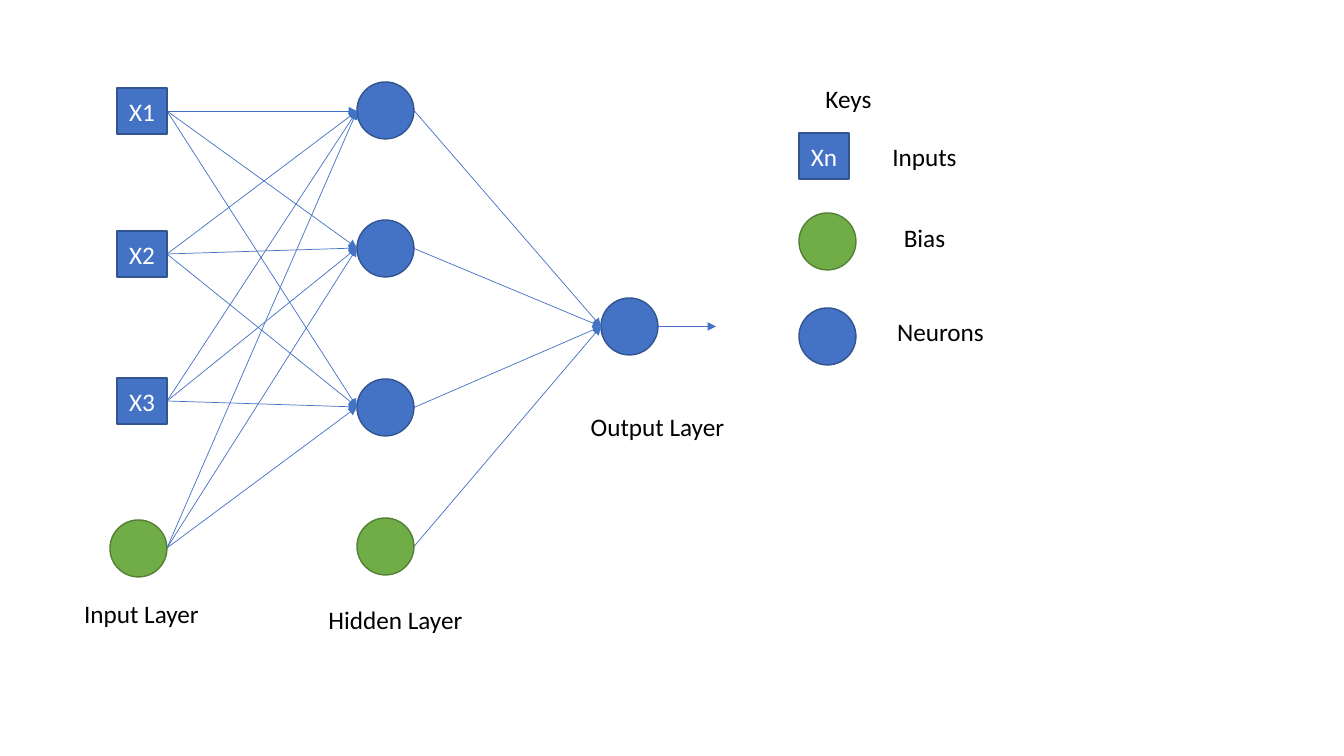
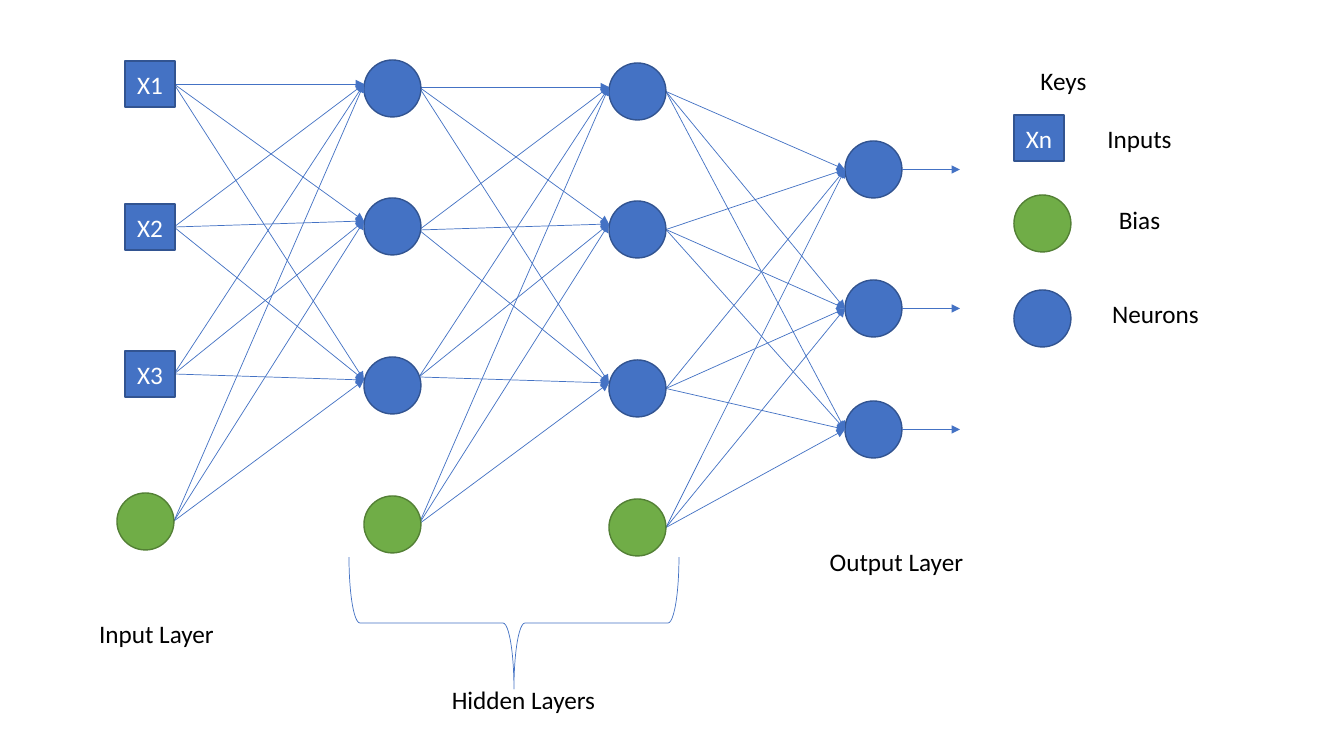
from dataclasses import dataclass
from itertools import product

from lxml.etree import SubElement
from pptx import Presentation
from pptx.dml.color import RGBColor
from pptx.enum.shapes import MSO_CONNECTOR, MSO_SHAPE
from pptx.enum.text import MSO_ANCHOR, PP_ALIGN
from pptx.oxml.ns import qn
from pptx.shapes.autoshape import Shape
from pptx.slide import Slide
from pptx.text.text import TextFrame
from pptx.util import Emu, Pt

PX_PER_INCH = 100.8
FONT = "Calibri"
BLUE, GREEN, BLACK, WHITE = "4472C4", "70AD47", "000000", "FFFFFF"
OUTLINES = {BLUE: "325491", GREEN: "538035"}
DIAMETER = 57
SQUARE_W, SQUARE_H = 50, 46
CAPTION_W, CAPTION_H = 283, 51
ARROW_LENGTH = 58
INPUT_STEPS = (0, 143, 290)
INPUT_BIAS_STEP = 432
HIDDEN_STEPS = (0, 138, 297)
HIDDEN_BIAS_STEP = 436
FAN_START_STEPS = (0, 143, 290, 437)
FAN_END_STEPS = (0, 137, 296)


@dataclass(frozen=True)
class Point:
    x: int
    y: int


@dataclass(frozen=True)
class Caption:
    text: str
    x: int
    y: int


@dataclass(frozen=True)
class Fan:
    start_x: int
    end_x: int
    top: int


@dataclass(frozen=True)
class Network:
    inputs: Point
    input_bias_x: int
    hidden: list[Point]
    fans: list[Fan]
    outputs: list[Point]
    key: Point
    captions: list[Caption]


def px(value: float) -> Emu:
    return Emu(round(value * 914400 / PX_PER_INCH))


def color(value: str) -> RGBColor:
    return RGBColor.from_string(value)


def write(tf: TextFrame, text: str, ink: str) -> None:
    tf.text = text
    tf.word_wrap = True
    tf.vertical_anchor = MSO_ANCHOR.MIDDLE
    p = tf.paragraphs[0]
    p.alignment = PP_ALIGN.CENTER
    r = p.runs[0]
    r.font.name = FONT
    r.font.size = Pt(18)
    r.font.color.rgb = color(ink)


def add_node(s: Slide, kind: MSO_SHAPE, x: int, y: int, w: int, h: int, fill: str) -> Shape:
    sp = s.shapes.add_shape(kind, px(x), px(y), px(w), px(h))
    sp.shadow.inherit = False
    sp.fill.solid()
    sp.fill.fore_color.rgb = color(fill)
    sp.line.color.rgb = color(OUTLINES[fill])
    sp.line.width = Pt(1)
    return sp


def add_circle(s: Slide, x: int, y: int, fill: str = BLUE) -> None:
    add_node(s, MSO_SHAPE.OVAL, x, y, DIAMETER, DIAMETER, fill)


def add_square(s: Slide, x: int, y: int, text: str) -> None:
    sp = add_node(s, MSO_SHAPE.RECTANGLE, x, y, SQUARE_W, SQUARE_H, BLUE)
    write(sp.text_frame, text, WHITE)


def add_caption(s: Slide, caption: Caption) -> None:
    box = s.shapes.add_textbox(px(caption.x), px(caption.y), px(CAPTION_W), px(CAPTION_H))
    write(box.text_frame, caption.text, BLACK)


def add_arrow(s: Slide, x1: float, y1: float, x2: float, y2: float) -> None:
    line = s.shapes.add_connector(MSO_CONNECTOR.STRAIGHT, px(x1), px(y1), px(x2), px(y2))
    line.line.color.rgb = color(BLUE)
    line.line.width = Pt(0.5)
    SubElement(line.line._get_or_add_ln(), qn("a:tailEnd"), type="triangle")
    SubElement(line._element.spPr, qn("a:effectLst"))


def add_fan(s: Slide, fan: Fan) -> None:
    for start, end in product(FAN_START_STEPS, FAN_END_STEPS):
        add_arrow(s, fan.start_x, fan.top + start, fan.end_x, fan.top + end)


def add_input_layer(s: Slide, top_input: Point, bias_x: int) -> None:
    for number, step in enumerate(INPUT_STEPS, 1):
        add_square(s, top_input.x, top_input.y + step, f"X{number}")
    add_circle(s, bias_x, top_input.y + INPUT_BIAS_STEP, GREEN)


def add_hidden_layer(s: Slide, top: Point) -> None:
    for step in HIDDEN_STEPS:
        add_circle(s, top.x, top.y + step)
    add_circle(s, top.x, top.y + HIDDEN_BIAS_STEP, GREEN)


def add_output_layer(s: Slide, last_hidden: Point, outputs: list[Point]) -> None:
    radius = DIAMETER / 2
    for output in outputs:
        add_circle(s, output.x, output.y)
        middle, right = output.y + radius, output.x + DIAMETER
        add_arrow(s, right, middle, right + ARROW_LENGTH, middle)
        for step in (*HIDDEN_STEPS, HIDDEN_BIAS_STEP):
            add_arrow(s, last_hidden.x + DIAMETER, last_hidden.y + step + radius,
                      output.x, middle)


def add_key(s: Slide, key: Point) -> None:
    add_square(s, key.x, key.y, "Xn")
    add_circle(s, key.x, key.y + 80, GREEN)
    add_circle(s, key.x, key.y + 175)
    for text, dx, dy in (("Inputs", -16, -2), ("Bias", -16, 79),
                         ("Neurons", 0, 173), ("Keys", -92, -60)):
        add_caption(s, Caption(text, key.x + dx, key.y + dy))


def add_brace(s: Slide, x: int, y: int, w: int, h: int) -> None:
    sp = s.shapes.add_shape(MSO_SHAPE.LEFT_BRACE, px(x), px(y), px(w), px(h))
    sp.rotation = 270
    sp.shadow.inherit = False
    sp.fill.background()
    sp.line.color.rgb = color(BLUE)
    sp.line.width = Pt(0.5)


def add_network(prs: Presentation, network: Network) -> Slide:
    s = prs.slides.add_slide(prs.slide_layouts[6])
    add_output_layer(s, network.hidden[-1], network.outputs)
    for hidden, fan in zip(reversed(network.hidden), reversed(network.fans)):
        add_hidden_layer(s, hidden)
        add_fan(s, fan)
    add_input_layer(s, network.inputs, network.input_bias_x)
    add_key(s, network.key)
    for caption in network.captions:
        add_caption(s, caption)
    return s


SINGLE_HIDDEN = Network(
    inputs=Point(117, 88),
    input_bias_x=110,
    hidden=[Point(357, 82)],
    fans=[Fan(167, 357, 111)],
    outputs=[Point(601, 298)],
    key=Point(799, 133),
    captions=[Caption("Hidden Layer", 254, 594), Caption("Input Layer", 0, 588),
              Caption("Output Layer", 516, 401)],
)
DOUBLE_HIDDEN = Network(
    inputs=Point(125, 61),
    input_bias_x=117,
    hidden=[Point(364, 60), Point(609, 63)],
    fans=[Fan(174, 364, 84), Fan(419, 609, 87)],
    outputs=[Point(845, y) for y in (141, 280, 401)],
    key=Point(1014, 115),
    captions=[Caption("Hidden Layers", 382, 674), Caption("Input Layer", 15, 608),
              Caption("Output Layer", 755, 536)],
)


def main() -> None:
    prs = Presentation()
    prs.slide_width, prs.slide_height = px(1344), px(756)
    add_network(prs, SINGLE_HIDDEN)
    s = add_network(prs, DOUBLE_HIDDEN)
    add_brace(s, 448, 458, 132, 330)
    prs.save("out.pptx")


main()
